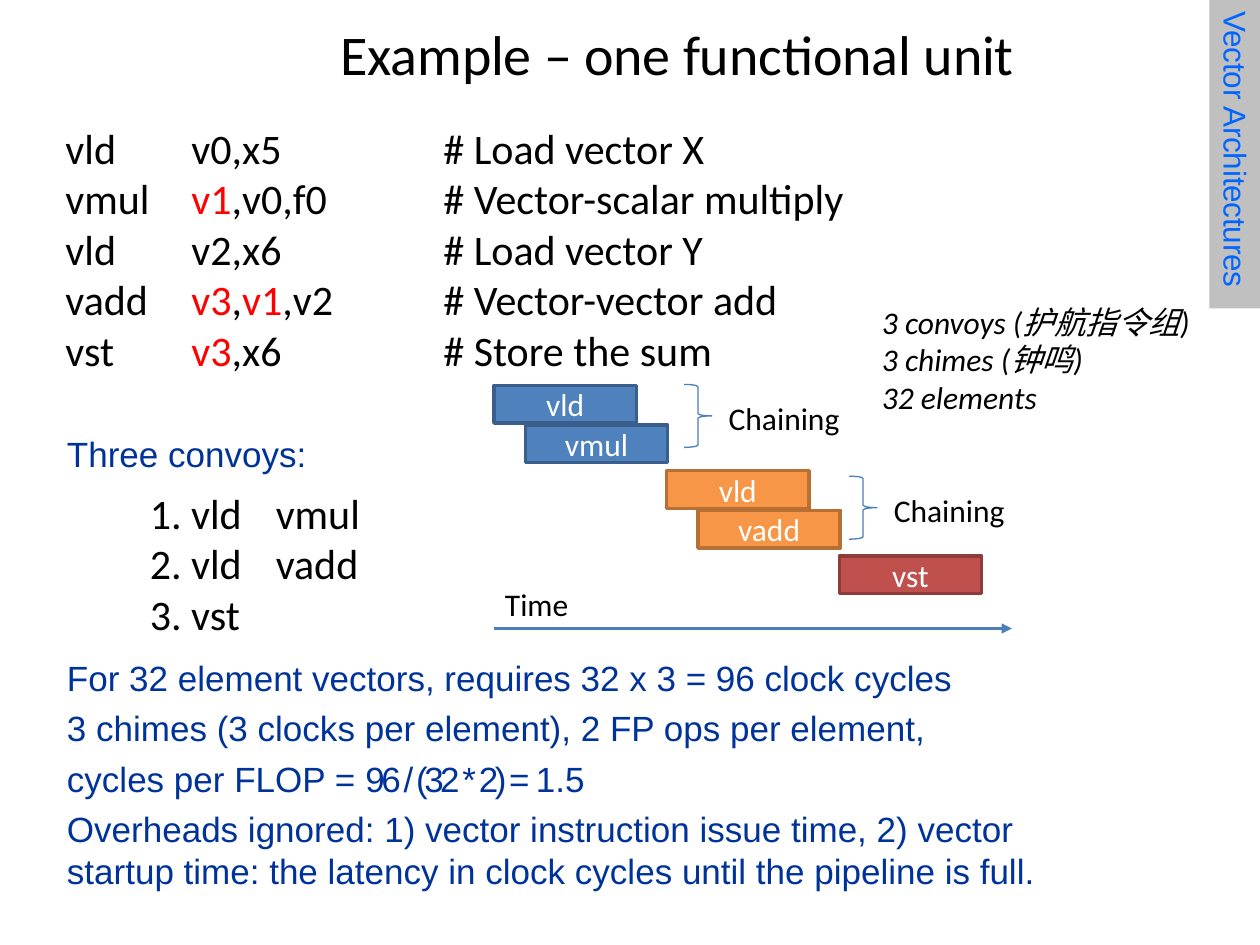
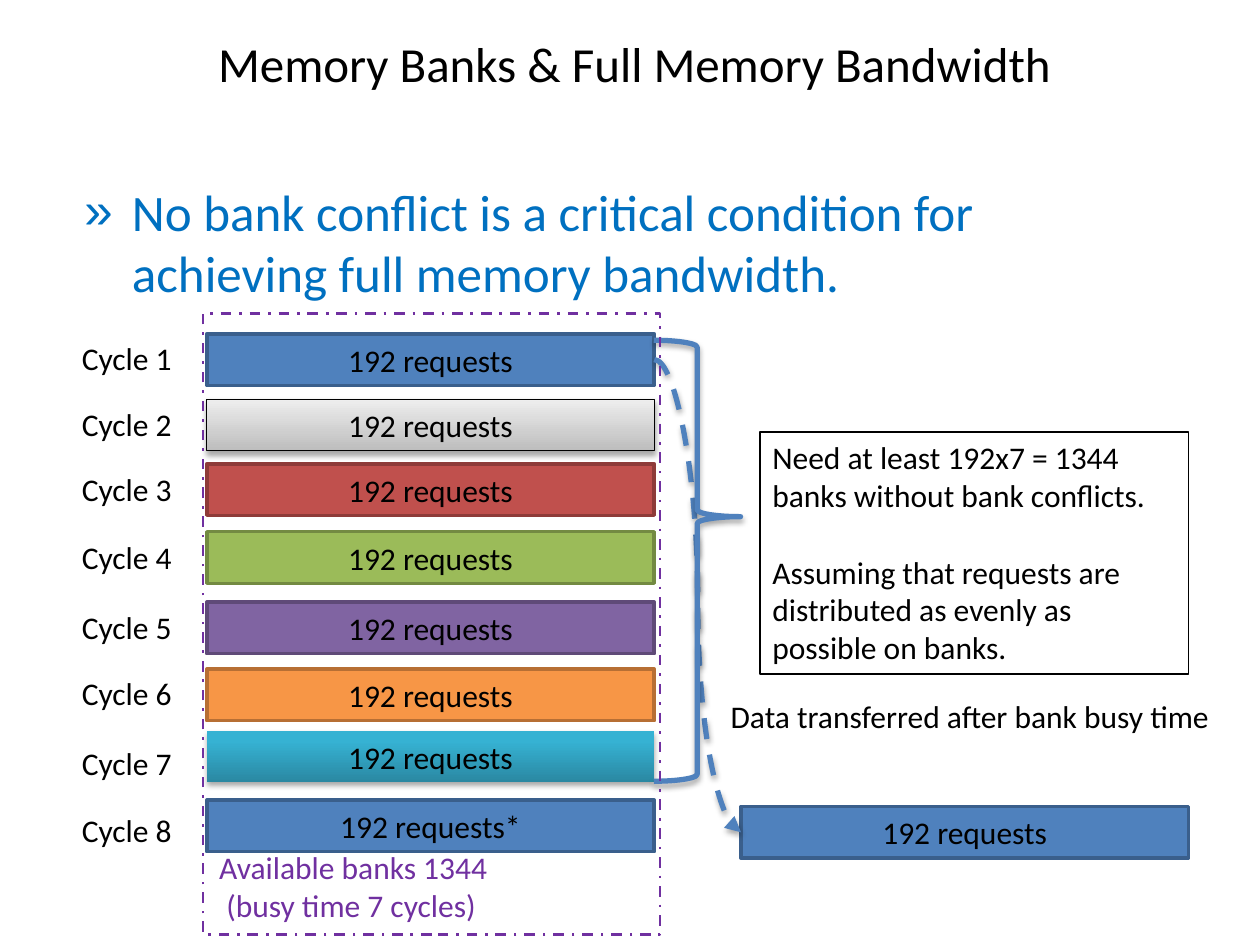
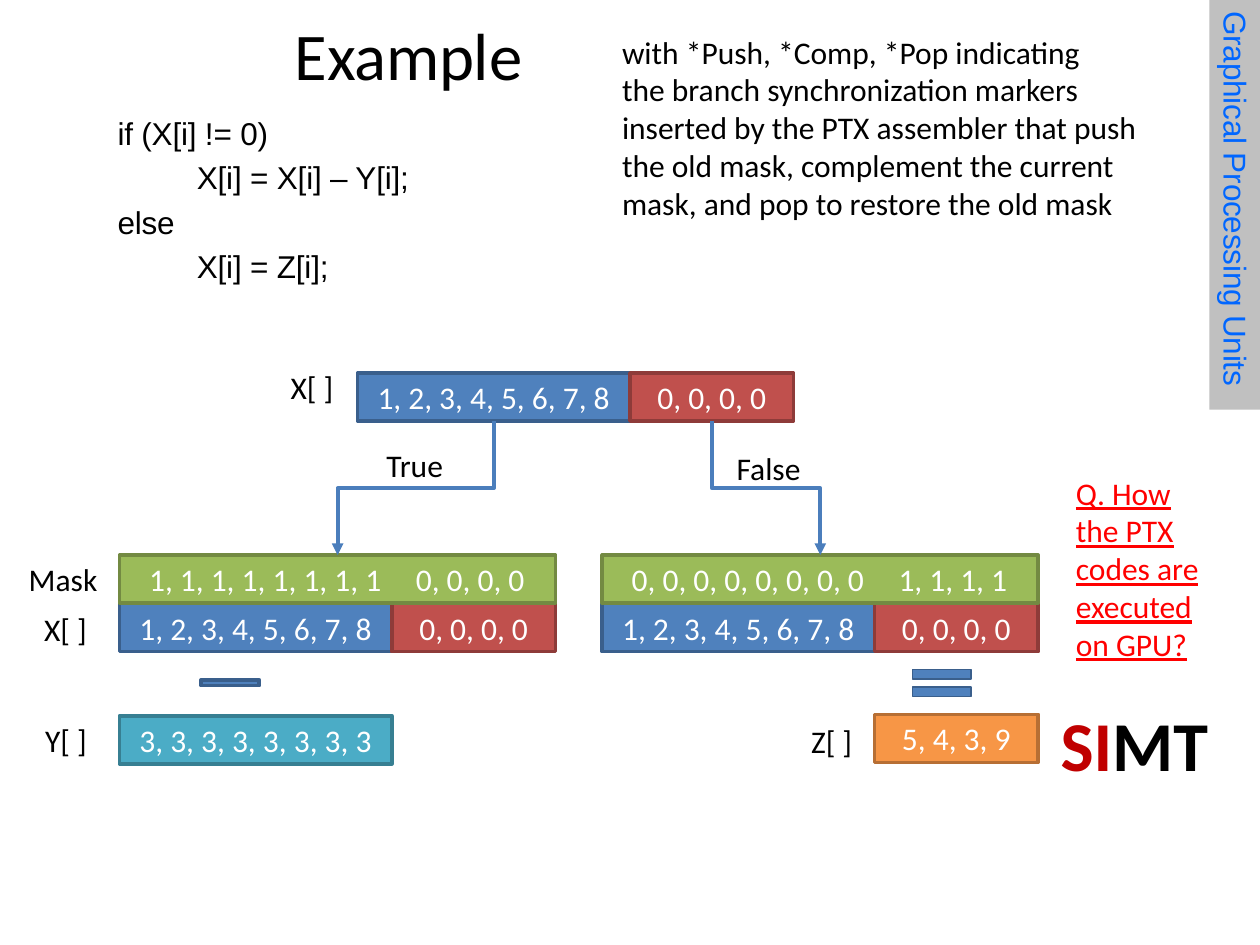
from lxml.etree import SubElement
from pptx import Presentation
from pptx.dml.color import RGBColor
from pptx.enum.dml import MSO_LINE
from pptx.enum.shapes import MSO_CONNECTOR, MSO_SHAPE
from pptx.enum.text import MSO_ANCHOR, MSO_AUTO_SIZE, PP_ALIGN
from pptx.oxml.ns import qn
from pptx.util import Cm, Pt

# Shared colours
BLACK = RGBColor(0x00, 0x00, 0x00)
WHITE = RGBColor(0xFF, 0xFF, 0xFF)
RED_TEXT = RGBColor(0xFF, 0x00, 0x00)
DARK_RED = RGBColor(0xC0, 0x00, 0x00)
NAVY = RGBColor(0x00, 0x33, 0x99)
SKY = RGBColor(0x00, 0x70, 0xC0)
VIOLET = RGBColor(0x70, 0x30, 0xA0)
SIDE_GREY = RGBColor(0xC0, 0xC0, 0xC0)
SIDE_BLUE = RGBColor(0x00, 0x66, 0xFF)
LINE_BLUE = RGBColor(0x4B, 0x7E, 0xBC)
BLUE = RGBColor(0x4F, 0x81, 0xBD)
RED = RGBColor(0xC0, 0x50, 0x4D)
GREEN = RGBColor(0x9B, 0xBB, 0x59)
PURPLE = RGBColor(0x80, 0x64, 0xA2)
ORANGE = RGBColor(0xF7, 0x96, 0x46)
AQUA = RGBColor(0x4B, 0xAC, 0xC6)
EDGES = {
    BLUE: RGBColor(0x3A, 0x5F, 0x8C),
    RED: RGBColor(0x8E, 0x3B, 0x39),
    GREEN: RGBColor(0x73, 0x8A, 0x42),
    PURPLE: RGBColor(0x5F, 0x4A, 0x78),
    ORANGE: RGBColor(0xB7, 0x6F, 0x34),
    AQUA: RGBColor(0x37, 0x7F, 0x92),
}
# Gradients: bottom colour, top colour, position of the top colour
GREY_FADE = (RGBColor(0xBD, 0xBD, 0xBD), RGBColor(0xEE, 0xEE, 0xEE), 1)
AQUA_FADE = (RGBColor(0x2A, 0x88, 0xA2), RGBColor(0x36, 0xB2, 0xD3), 0.8)

# Content: a paragraph is a string or a list of runs, a run is a string or (text, format)
MARKED = {"color": RED_TEXT}
VECTOR_CODE = [
    "vld \tv0,x5 \t# Load vector X",
    ["vmul \t", ("v1", MARKED), ",v0,f0 \t# Vector-scalar multiply"],
    "vld \tv2,x6 \t# Load vector Y",
    ["vadd \t", ("v3", MARKED), ",", ("v1", MARKED), ",v2 \t# Vector-vector add"],
    ["vst \t", ("v3", MARKED), ",x6 \t# Store the sum"],
]
CONVOY_LIST = ["1. vld \tvmul", "2. vld \tvadd", "3. vst"]
COST_NOTES = [
    "For 32 element vectors, requires 32 x 3 = 96 clock cycles",
    "3 chimes (3 clocks per element), 2 FP ops per element,",
    ["cycles per FLOP = ", ("96 / (32 * 2) = ", {"spacing": -2}), "1.5"],
    "Overheads ignored: 1) vector instruction issue time, 2) vector startup time: "
    "the latency in clock cycles until the pipeline is full.",
]
CONVOY_FACTS = ["3 convoys (护航指令组)", "3 chimes (钟鸣)", "32 elements"]
CONVOYS = [(BLUE, ["vld", "vmul"]), (ORANGE, ["vld", "vadd"]), (RED, ["vst"])]
CHAININGS = [(13.79, 7.75), (17.12, 9.6)]

BANK_RULE = ("No bank conflict is a critical condition for achieving full memory "
             "bandwidth.")
REQUESTS = "192 requests"
# Label, label top, bar text, bar top, bar fill
CYCLES = [
    ("Cycle 1", 6.71, REQUESTS, 6.73, BLUE),
    ("Cycle 2", 8.03, REQUESTS, 8.05, GREY_FADE),
    ("Cycle 3", 9.35, REQUESTS, 9.35, RED),
    ("Cycle 4", 10.72, REQUESTS, 10.72, GREEN),
    ("Cycle 5", 12.12, REQUESTS, 12.14, PURPLE),
    ("Cycle 6", 13.46, REQUESTS, 13.49, ORANGE),
    ("Cycle 7", 14.86, REQUESTS, 14.73, AQUA_FADE),
    ("Cycle 8", 16.21, "192 requests*", 16.13, BLUE),
]
BANK_NEED = [
    "Need at least 192x7 = 1344 banks without bank conflicts.",
    "Assuming that requests are distributed as evenly as possible on banks.",
]
BANKS_AVAILABLE = ["Available banks 1344", " (busy time 7 cycles)"]

BRANCH_CODE = ["if (X[i] != 0)", "\tX[i] = X[i] – Y[i];", "else", "\tX[i] = Z[i];"]
MARKERS = [
    "with *Push, *Comp, *Pop indicating",
    "the branch synchronization markers inserted by the PTX assembler that push the "
    "old mask, complement the current mask, and pop to restore the old mask",
]
QUESTION = "Q. How the PTX codes are executed on GPU?"
X_TRUE, X_FALSE = "1, 2, 3, 4, 5, 6, 7, 8", "0, 0, 0, 0"
# Left edge and mask of each branch
BRANCHES = [
    (2.41, "\t1, 1, 1, 1, 1, 1, 1, 1\t0, 0, 0, 0"),
    (12.14, "\t0, 0, 0, 0, 0, 0, 0, 0\t1, 1, 1, 1"),
]
BRANCH_LABELS = [
    ("True", 7.54, 8.86, 1.68), ("False", 14.6, 8.92, 1.8), ("Mask", 0.33, 11.15, 1.9),
    ("X[ ]", 5.61, 7.29, 1.4), ("X[ ]", 0.64, 12.17, 1.4), ("Y[ ]", 0.66, 14.4, 1.4),
    ("Z[ ]", 16.1, 14.43, 1.35),
]


# Shared drawing functions; all places are in centimetres
def box(*lengths):
    return [Cm(length) for length in lengths]


def write(shape, paragraphs, size=18, font="Calibri", color=BLACK, bold=None,
          italic=None, underline=None, spacing=0, align=PP_ALIGN.LEFT, anchor=None,
          inset=(0.25, 0.13), wrap=True, before=0, leading=None, bullet=None, tabs=()):
    frame = shape.text_frame
    frame.auto_size = MSO_AUTO_SIZE.NONE
    frame.word_wrap = wrap
    frame.margin_left = frame.margin_right = Cm(inset[0])
    frame.margin_top = frame.margin_bottom = Cm(inset[1])
    if anchor is not None:
        frame.vertical_anchor = anchor
    paragraphs = [paragraphs] if isinstance(paragraphs, str) else paragraphs
    for index, runs in enumerate(paragraphs):
        paragraph = frame.add_paragraph() if index else frame.paragraphs[0]
        paragraph.alignment = align
        paragraph.space_before = Pt(before if index else 0)
        if leading:
            paragraph.line_spacing = Pt(leading)
        properties = paragraph._p.get_or_add_pPr()
        if bullet:
            properties.set("marL", str(Cm(0.96)))
            properties.set("indent", str(-Cm(0.96)))
            SubElement(properties, qn("a:buChar"), char=bullet)
        if tabs:
            stops = SubElement(properties, qn("a:tabLst"))
            for position, kind in tabs:
                SubElement(stops, qn("a:tab"), pos=str(Cm(position)), algn=kind)
        for part in [runs] if isinstance(runs, str) else runs:
            text, change = (part, {}) if isinstance(part, str) else part
            run = paragraph.add_run()
            run.text = text
            run.font.size, run.font.name = Pt(size), font
            run.font.bold, run.font.italic = bold, italic
            run.font.underline = underline
            run.font.color.rgb = change.get("color", color)
            gap = change.get("spacing", spacing)
            if gap:
                run._r.get_or_add_rPr().set("spc", str(round(gap * 100)))


def add_text(slide, place, paragraphs, **style):
    textbox = slide.shapes.add_textbox(*box(*place))
    write(textbox, paragraphs, **style)
    return textbox


def set_shadow(shape, shown=False):
    effects = SubElement(shape._element.spPr, qn("a:effectLst"))
    if shown:
        shadow = SubElement(effects, qn("a:outerShdw"), blurRad="40000", dist="23000",
                            dir="5400000", rotWithShape="0")
        shade = SubElement(shadow, qn("a:srgbClr"), val="000000")
        SubElement(shade, qn("a:alpha"), val="35000")


def add_shape(slide, kind, place, fill=None, line=None, width=2.0, dash=None,
              shadow=False, adjust=()):
    shape = slide.shapes.add_shape(kind, *box(*place))
    for index, value in enumerate(adjust):
        shape.adjustments[index] = value
    if fill is None:
        shape.fill.background()
    elif fill in (GREY_FADE, AQUA_FADE):
        shape.fill.gradient()
        shape.fill.gradient_angle = 90
        first, last = shape.fill.gradient_stops
        first.color.rgb, last.color.rgb, last.position = fill
        first.position = 0
    else:
        shape.fill.solid()
        shape.fill.fore_color.rgb = fill
    line = line or EDGES.get(fill)
    if line is None:
        shape.line.fill.background()
    else:
        shape.line.color.rgb = line
        shape.line.width = Pt(width)
        if dash:
            shape.line.dash_style = dash
    set_shadow(shape, shadow)
    return shape


def add_bar(slide, place, text, fill, color=WHITE, tabs=(), **outline):
    bar = add_shape(slide, MSO_SHAPE.RECTANGLE, place, fill, **outline)
    write(bar, text, color=color, tabs=tabs, anchor=MSO_ANCHOR.MIDDLE,
          align=PP_ALIGN.LEFT if tabs else PP_ALIGN.CENTER)


def add_arrow(slide, kind, ends, color, width, dash=None, shadow=False):
    arrow = slide.shapes.add_connector(kind, *box(*ends))
    arrow.line.color.rgb = color
    arrow.line.width = Pt(width)
    if dash:
        arrow.line.dash_style = dash
    SubElement(arrow.line._get_or_add_ln(), qn("a:tailEnd"), type="triangle")
    set_shadow(arrow, shadow)
    return arrow


def add_drop_arrow(slide, x1, y1, x2, y2):
    """Elbow that leaves downwards and arrives downwards: a turned sideways elbow."""
    half_length, half_height = (y2 - y1) / 2, abs(x2 - x1) / 2
    middle_x, middle_y = (x1 + x2) / 2, (y1 + y2) / 2
    side = 1 if x2 > x1 else -1
    ends = (middle_x + side * half_length, middle_y - half_height,
            middle_x - side * half_length, middle_y + half_height)
    arrow = add_arrow(slide, MSO_CONNECTOR.ELBOW, ends, LINE_BLUE, 2.25)
    turn = 270 if side > 0 else 90
    arrow._element.spPr.find(qn("a:xfrm")).set("rot", str(turn * 60000))


def start_slide(deck, layout, title, place, size, inset=(0, 0.03), spacing=0):
    slide = deck.slides.add_slide(deck.slide_layouts[layout])
    heading = slide.shapes.title
    heading.left, heading.top, heading.width, heading.height = box(*place)
    write(heading, title, size=size, align=PP_ALIGN.CENTER, anchor=MSO_ANCHOR.MIDDLE,
          inset=inset, spacing=spacing)
    return slide


def add_side_band(slide, topic, height):
    add_shape(slide, MSO_SHAPE.RECTANGLE, (24.38, 0, 1.02, height), SIDE_GREY)
    label = add_text(slide, (24.49, 0.23, 0.79, height - 0.5), topic, font="Arial",
                     color=SIDE_BLUE, inset=(0, 0), leading=20.9, spacing=-0.1)
    label.text_frame._txBody.bodyPr.set("vert", "vert")


def build_convoy_slide(deck):
    slide = start_slide(deck, 5, "Example – one functional unit",
                        (1.9, 0.38, 23.5, 1.4), 32, spacing=-0.1)
    flush = {"inset": (0, 0.03)}
    add_text(slide, (1.32, 2.44, 17.3, 5.16), VECTOR_CODE, size=24,
             tabs=[(2.54, "l"), (7.62, "l")], **flush)
    add_text(slide, (1.35, 8.69, 5.2, 0.91), "Three convoys:", size=20, font="Arial",
             color=NAVY, **flush)
    add_text(slide, (1.35, 13.03, 20.37, 6), COST_NOTES, size=20, font="Arial",
             color=NAVY, inset=(0, 0.2), before=4.8)
    add_side_band(slide, "Vector Architectures", 6.22)
    add_text(slide, (3.02, 9.8, 8.2, 3.12), CONVOY_LIST, size=24, tabs=[(2.54, "l")],
             **flush)

    # Timeline: each convoy starts later and lower, chained operations overlap
    for convoy, (fill, operations) in enumerate(CONVOYS):
        for step, operation in enumerate(operations):
            left = 9.96 + 3.48 * convoy + 0.63 * step
            top = 7.77 + 1.72 * convoy + 0.8 * step
            add_bar(slide, (left, top, 2.87, 0.76), operation, fill)
    add_arrow(slide, MSO_CONNECTOR.STRAIGHT, (9.96, 12.67, 20.4, 12.67), LINE_BLUE, 1.5)
    add_text(slide, (9.93, 11.66, 1.8, 1.02), "Time", wrap=False)
    for left, top in CHAININGS:
        add_shape(slide, MSO_SHAPE.RIGHT_BRACE, (left, top, 0.56, 1.27),
                  line=LINE_BLUE, width=0.75)
        add_text(slide, (left + 0.65, top + 0.17, 2.77, 1.02), "Chaining", wrap=False)
    add_text(slide, (17.53, 5.97, 6.86, 2.57), CONVOY_FACTS, italic=True)


def build_bank_slide(deck):
    roomy = (0.3, 0.15)
    slide = start_slide(deck, 1, "Memory Banks & Full Memory Bandwidth",
                        (1.65, 0.51, 22.28, 1.52), 28, inset=roomy)
    rule = slide.placeholders[1]
    rule.left, rule.top, rule.width, rule.height = box(1.4, 3.48, 22.25, 2.34)
    write(rule, BANK_RULE, size=29.2, color=SKY, bullet="»", inset=roomy)

    # Requests per cycle
    bar_left, bar_width, bar_height = 4.17, 9.02, 1.04
    for label, label_top, text, top, fill in CYCLES:
        faded = fill in (GREY_FADE, AQUA_FADE)
        add_bar(slide, (bar_left, top, bar_width, bar_height), text, fill, color=BLACK,
                line=BLACK if fill == GREY_FADE else None, width=0.75 if faded else 2,
                shadow=faded)
        add_text(slide, (1.4, label_top, 2.34, 1.02), label, wrap=False)
    add_bar(slide, (14.94, 16.26, bar_width, bar_height), REQUESTS, BLUE, color=BLACK)

    # Transfer after the busy time
    add_arrow(slide, MSO_CONNECTOR.CURVE, (13.19, 7.25, 14.94, 16.78), BLUE, 3,
              dash=MSO_LINE.DASH, shadow=True)
    add_text(slide, (14.48, 13.92, 10.29, 1.02), "Data transferred after bank busy time")
    add_shape(slide, MSO_SHAPE.RIGHT_BRACE, (13.18, 6.86, 1.75, 8.89), line=BLUE,
              width=3, shadow=True, adjust=(0.08, 0.4))

    # Bank count
    need = add_shape(slide, MSO_SHAPE.RECTANGLE, (15.32, 8.71, 8.64, 4.88), line=BLACK,
                     width=1)
    write(need, BANK_NEED, anchor=MSO_ANCHOR.TOP, before=22)
    add_text(slide, (4.17, 16.97, 5.97, 1.8), BANKS_AVAILABLE, color=VIOLET, wrap=False)
    add_shape(slide, MSO_SHAPE.RECTANGLE, (4.09, 6.32, 9.22, 12.52), line=VIOLET,
              width=1.5, dash=MSO_LINE.DASH_DOT)


def build_branch_slide(deck):
    slide = start_slide(deck, 5, "Example", (4.17, 0.25, 8.13, 1.68), 38.1, spacing=-0.1)
    add_text(slide, (2.37, 2.11, 8.79, 3.68), BRANCH_CODE, font="Arial",
             inset=(0, 0.18), before=3.9, spacing=-0.1, tabs=[(1.6, "l")])
    add_side_band(slide, "Graphical Processing Units", 8.26)
    add_text(slide, (12.29, 0.53, 11.02, 4.11), MARKERS)
    add_text(slide, (21.44, 9.42, 3.2, 4.11), QUESTION, color=RED_TEXT, underline=True)
    add_text(slide, (21.13, 14.02, 3.51, 1.96), [[("SI", {"color": DARK_RED}), "MT"]],
             size=40, bold=True, wrap=False)

    # Vector X, split by the condition, above the two branches
    true_width, false_width, height = 5.49, 3.3, 0.97
    full_width = true_width + false_width
    source_left, source_top, mask_top, vector_top = 7.21, 7.52, 11.19, 12.17

    def add_vector(left, top):
        add_bar(slide, (left, top, true_width, height), X_TRUE, BLUE)
        add_bar(slide, (left + true_width, top, false_width, height), X_FALSE, RED)

    add_vector(source_left, source_top)
    exits = (source_left + true_width / 2, source_left + true_width + false_width / 2)
    for (left, mask), exit_x in zip(BRANCHES, exits):
        add_vector(left, vector_top)
        add_bar(slide, (left, mask_top, full_width, height), mask, GREEN,
                tabs=[(2.69, "ctr"), (6.82, "ctr")])
        add_drop_arrow(slide, exit_x, source_top + height, left + full_width / 2, mask_top)

    # Operands
    true_left, false_left = BRANCHES[0][0], BRANCHES[1][0] + true_width
    add_bar(slide, (true_left, 14.43, true_width, height), "3, 3, 3, 3, 3, 3, 3, 3", AQUA)
    add_bar(slide, (false_left, 14.4, false_width, height), "5, 4, 3, 9", ORANGE)
    add_shape(slide, MSO_SHAPE.MATH_MINUS, (3.84, 13.51, 1.6, 0.51), BLUE)
    add_shape(slide, MSO_SHAPE.MATH_EQUAL, (18.19, 13.11, 1.6, 1.32), BLUE, width=0.75,
              adjust=(0.15, 0.12))
    for label, left, top, width in BRANCH_LABELS:
        add_text(slide, (left, top, width, 1.02), label, wrap=False)


def main():
    deck = Presentation()
    deck.slide_width, deck.slide_height = box(25.4, 19.05)
    build_convoy_slide(deck)
    build_bank_slide(deck)
    build_branch_slide(deck)
    deck.save("out.pptx")


if __name__ == "__main__":
    main()
